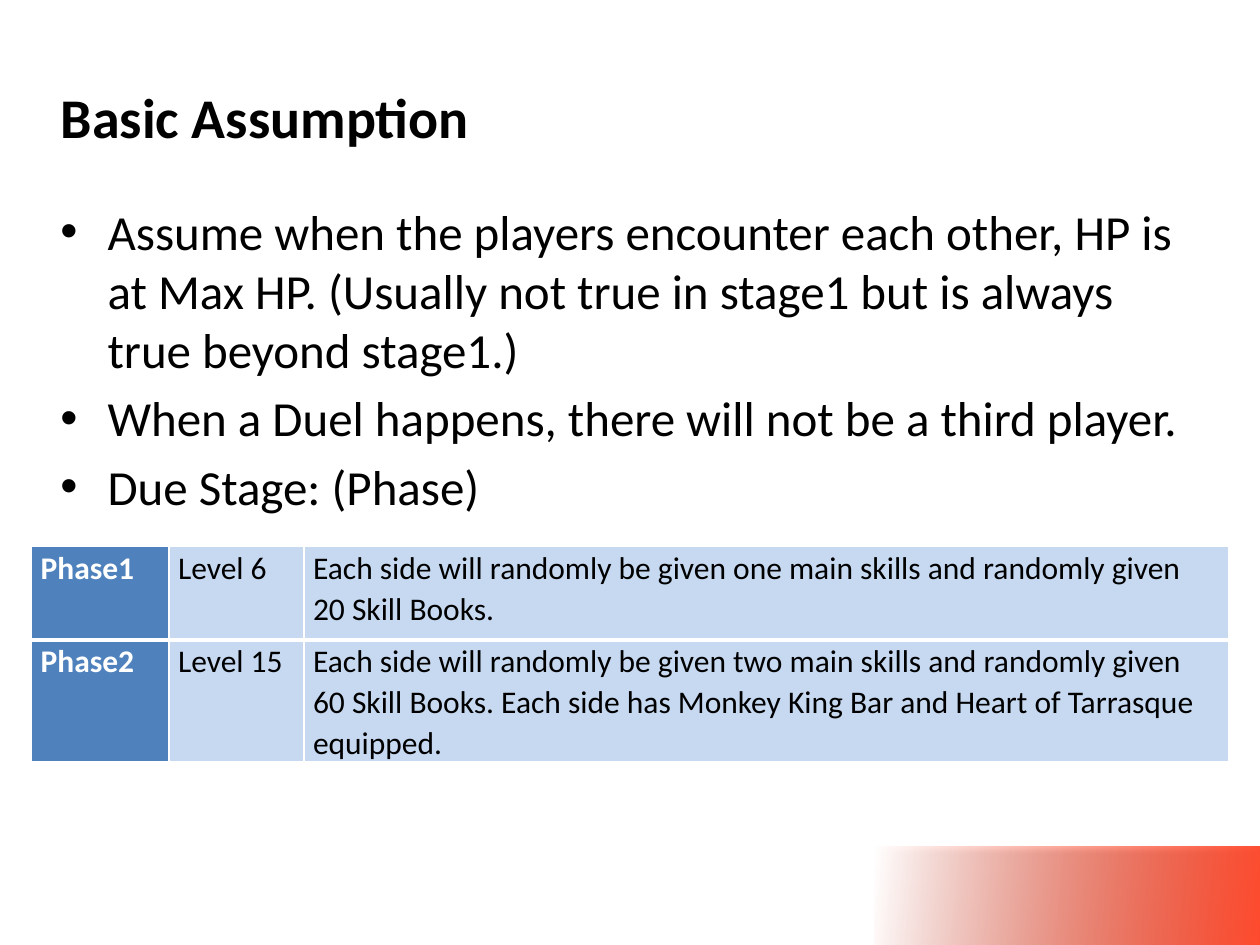
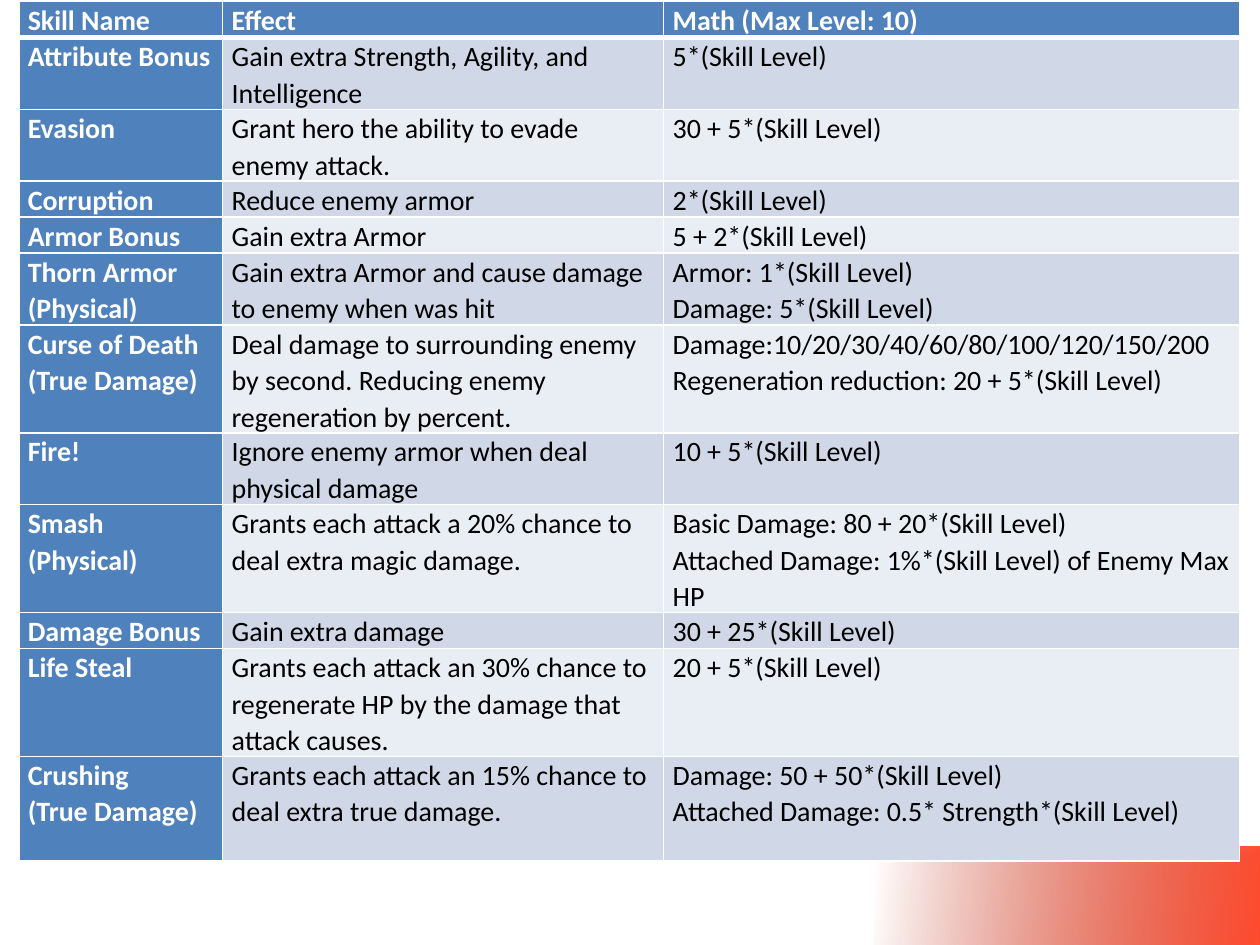
from copy import deepcopy
from pptx import Presentation
from pptx.dml.color import RGBColor
from pptx.enum.shapes import MSO_SHAPE
from pptx.enum.text import MSO_ANCHOR, MSO_AUTO_SIZE, PP_ALIGN
from pptx.oxml import parse_xml
from pptx.oxml.ns import nsdecls, qn
from pptx.util import Cm, Pt

FONT = "Calibri"
BLACK = RGBColor(0x00, 0x00, 0x00)
WHITE = RGBColor(0xFF, 0xFF, 0xFF)
BLUE = RGBColor(0x4F, 0x81, 0xBD)
SKY = RGBColor(0xC6, 0xD9, 0xF1)
MIST = RGBColor(0xD0, 0xD8, 0xE8)
PALE = RGBColor(0xE9, 0xED, 0xF4)
RED = RGBColor(0xFF, 0x4B, 0x2E)

BAND_FILL = f"""<a:gradFill {nsdecls("a")} rotWithShape="1"><a:gsLst>
<a:gs pos="0"><a:srgbClr val="{RED}"/></a:gs>
<a:gs pos="100000"><a:srgbClr val="{RED}"><a:alpha val="0"/></a:srgbClr></a:gs>
</a:gsLst><a:lin ang="11160000" scaled="0"/></a:gradFill>"""
BAND_SHADE = f"""<a:effectLst {nsdecls("a")}>
<a:outerShdw blurRad="{Pt(3.1)}" dist="{Pt(1.8)}" dir="5400000" rotWithShape="0">
<a:srgbClr val="{BLACK}"><a:alpha val="35000"/></a:srgbClr></a:outerShdw></a:effectLst>"""

PHASES = [
    ("Phase1", "Level 6", "Each side will randomly be given one main skills and "
     "randomly given 20 Skill Books."),
    ("Phase2", "Level 15", "Each side will randomly be given two main skills and "
     "randomly given 60 Skill Books. Each side has Monkey King Bar and Heart of "
     "Tarrasque equipped."),
]

# In a cell, \v breaks a line and \n starts a paragraph
SKILLS = [
    ("Skill Name", "Effect", "Math (Max Level: 10)"),
    ("Attribute Bonus", "Gain extra Strength, Agility, and Intelligence",
     "5*(Skill Level)"),
    ("Evasion", "Grant hero the ability to evade enemy attack.",
     "30 + 5*(Skill Level)"),
    ("Corruption", "Reduce enemy armor", "2*(Skill Level)"),
    ("Armor Bonus", "Gain extra Armor", "5 + 2*(Skill Level)"),
    ("Thorn Armor\v(Physical)",
     "Gain extra Armor and cause damage to enemy when was hit",
     "Armor: 1*(Skill Level)\nDamage: 5*(Skill Level)"),
    ("Curse of Death\v(True Damage)",
     "Deal damage to surrounding enemy by second. Reducing enemy regeneration "
     "by percent.",
     "Damage:10/20/30/40/60/80/100/120/150/200\n"
     "Regeneration reduction: 20 + 5*(Skill Level)"),
    ("Fire!", "Ignore enemy armor when deal physical damage",
     "10 + 5*(Skill Level)"),
    ("Smash\v(Physical)",
     "Grants each attack a 20% chance to deal extra magic damage.",
     "Basic Damage: 80 + 20*(Skill Level)\n"
     "Attached Damage: 1%*(Skill Level) of Enemy Max HP"),
    ("Damage Bonus", "Gain extra damage", "30 + 25*(Skill Level)"),
    ("Life Steal", "Grants each attack an 30% chance to regenerate HP by the "
     "damage that attack causes.", "20 + 5*(Skill Level)"),
    ("Crushing\v(True Damage)",
     "Grants each attack an 15% chance to deal extra true damage.",
     "Damage: 50 + 50*(Skill Level)\n"
     "Attached Damage: 0.5* Strength*(Skill Level)"),
]


class Deck:
    def __init__(self):
        self.prs = Presentation()
        self.prs.slide_width, self.prs.slide_height = Cm(25.4), Cm(19.05)
        self.slide = None

    def page(self, title=None):
        layout = self.prs.slide_layouts[5 if title else 6]
        self.slide = self.prs.slides.add_slide(layout)
        self.band()
        if title:
            self.title(title)

    def band(self):
        shape = self.slide.shapes.add_shape(
            MSO_SHAPE.RECTANGLE, Cm(17.63), Cm(17.07), Cm(7.77), Cm(1.98))
        shape.line.fill.background()
        props = shape.element.spPr
        props.insert(2, parse_xml(BAND_FILL))
        props.append(parse_xml(BAND_SHADE))

    def style(self, para, size, color=BLACK, bold=False):
        for run in para.runs:
            font = run.font
            font.name, font.size, font.bold = FONT, Pt(size), bold
            font.color.rgb = color
        # Line breaks take the size of the text around them
        for brk in para._p.findall(qn("a:br")):
            brk.append(deepcopy(para.runs[0].font._element))

    def title(self, text):
        box = self.slide.shapes.title
        box.left, box.top, box.width, box.height = Cm(0.97), Cm(0.76), Cm(23.14), Cm(3.18)
        frame = box.text_frame
        frame.text = text
        frame.vertical_anchor = MSO_ANCHOR.MIDDLE
        frame.auto_size = MSO_AUTO_SIZE.NONE
        frame.paragraphs[0].alignment = PP_ALIGN.LEFT
        self.style(frame.paragraphs[0], 32, bold=True)

    def bullets(self, lines, size=28):
        box = self.slide.shapes.add_textbox(Cm(0.97), Cm(3.94), Cm(23.14), Cm(12.45))
        frame = box.text_frame
        frame.word_wrap = True
        frame.text = "\n".join(lines)
        for num, para in enumerate(frame.paragraphs):
            props = para._p.get_or_add_pPr()
            props.set("marL", str(Cm(0.95)))
            props.set("indent", str(-Cm(0.95)))
            props.append(parse_xml(f'<a:buFont {nsdecls("a")} typeface="Arial"/>'))
            props.append(parse_xml(f'<a:buChar {nsdecls("a")} char="•"/>'))
            para.space_before = Pt(size * 0.2 if num else 0)
            self.style(para, size)

    def border(self, cell, top, bottom):
        props = cell._tc.get_or_add_tcPr()
        for side, width in zip("LRTB", (1, 1, top, bottom)):
            props.append(parse_xml(
                f'<a:ln{side} {nsdecls("a")} w="{Pt(width)}"><a:solidFill>'
                f'<a:srgbClr val="{WHITE}"/></a:solidFill></a:ln{side}>'))

    def table(self, data, left, top, cols, rows, size, tints, head=False):
        table = self.slide.shapes.add_table(
            len(rows), len(cols), Cm(left), Cm(top), Cm(sum(cols)), Cm(sum(rows))).table
        table.first_row, table.first_col, table.horz_banding = head, True, False
        for col, width in zip(table.columns, cols):
            col.width = Cm(width)
        for r, (row, high) in enumerate(zip(table.rows, rows)):
            row.height = Cm(high)
            for c, cell in enumerate(row.cells):
                label = c == 0 or (head and r == 0)
                # The rule under the first row is thick
                self.border(cell, 3 if r == 1 else 1, 3 if r == 0 else 1)
                cell.fill.solid()
                cell.fill.fore_color.rgb = BLUE if label else tints[r % len(tints)]
                cell.margin_left = cell.margin_right = Cm(0.18)
                cell.margin_top = cell.margin_bottom = 0
                cell.text_frame.text = data[r][c]
                for para in cell.text_frame.paragraphs:
                    para.line_spacing = 1.07
                    self.style(para, size, WHITE if label else BLACK, label)


def main():
    deck = Deck()

    # Assumptions and phases
    deck.page("Basic Assumption")
    deck.bullets([
        "Assume when the players encounter each other, HP is at Max HP. "
        "(Usually not true in stage1 but is always true beyond stage1.)",
        "When a Duel happens, there will not be a third player.",
        "Due Stage: (Phase)",
    ])
    deck.table(PHASES, 0.64, 11.02, (2.77, 2.72, 18.64), (1.88, 1.88), 18, [SKY])

    # Skill list
    deck.page()
    low, mid, tall = 0.69, 1.27, 2.11
    rows = (low, mid, mid, low, low, 1.4, tall, mid, tall, low, 1.93, tall)
    deck.table(SKILLS, 0.38, 0.03, (4.11, 8.89, 11.61), rows, 16, [PALE, MIST], head=True)

    deck.prs.save("out.pptx")


if __name__ == "__main__":
    main()
